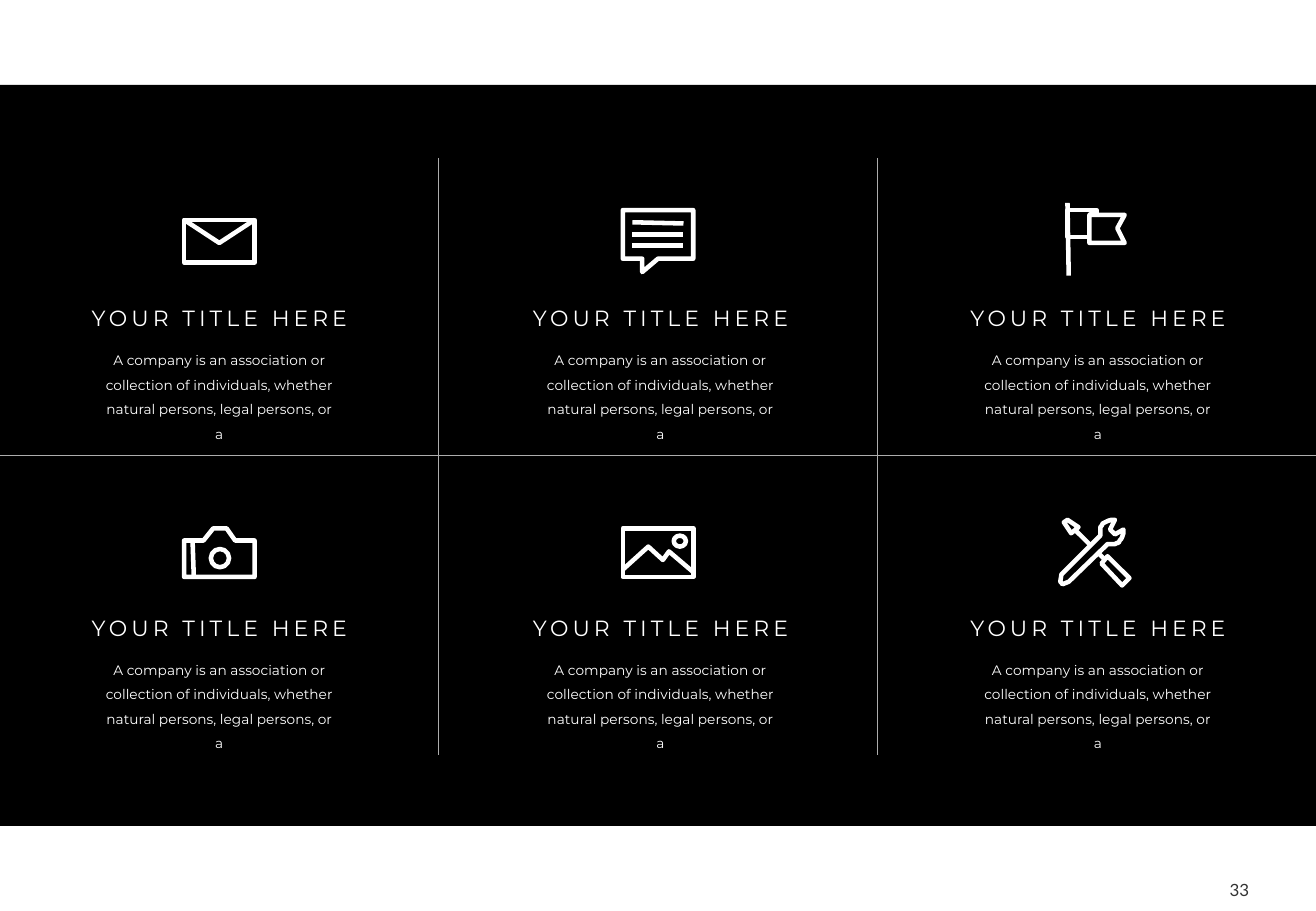
from lxml.etree import SubElement
from pptx import Presentation
from pptx.dml.color import RGBColor
from pptx.enum.shapes import MSO_CONNECTOR as Link, MSO_SHAPE as Kind
from pptx.enum.text import MSO_AUTO_SIZE as Auto, PP_ALIGN as Align
from pptx.oxml.ns import qn
from pptx.util import Inches, Pt

WHITE = RGBColor(0xFF, 0xFF, 0xFF)
BLACK = RGBColor(0, 0, 0)
GRAY = RGBColor(0xAD, 0xAD, 0xAD)
DARK = RGBColor(0x33, 0x33, 0x33)


def bend(a, b, c, d, steps=8):
    """Points along a cubic curve from a to d."""
    return [tuple((1 - t) ** 3 * p + 3 * t * (1 - t) ** 2 * q
                  + 3 * t * t * (1 - t) * r + t ** 3 * s
                  for p, q, r, s in zip(a, b, c, d))
            for t in (i / steps for i in range(steps + 1))]


TITLE = "YOUR TITLE HERE"
BODY = ("A company is an association or collection of individuals, "
        "whether natural persons, legal persons, or a")
PAGE = "33"

# Icon strokes in hundredths of an inch: "open" and "shut" outlines, "ring" boxes
MAIL = [("shut", [(58, 43), (0, 43), (0, 8), (58, 8)]),
        ("open", [(0, 8), (29, 27), (58, 8)])]
CHAT = [("open", [(8, 10), (50, 11)]),
        ("open", [(8, 20), (50, 20)]),
        ("open", [(8, 29), (50, 29)]),
        ("shut", [(29, 40), (58, 40), (58, 0), (0, 0), (0, 40),
                  (16, 40), (16, 51)])]
FLAG = [("open", [(5, -6), (6, 54)]),
        ("open", [(29, 0), (23, 4), (23, 27), (52, 27), (46, 15),
                  (52, 4), (23, 4)]),
        ("open", [(23, 22), (5, 22), (5, 0), (29, 0), (29, 4)])]
CAMERA = [("shut", [(42, 17), (35, 7), (24, 7), (16, 17), (0, 17),
                    (0, 47), (58, 47), (58, 17)]),
          ("ring", [(22, 24), (37, 39)]),
          ("open", [(7, 17), (8, 47)])]
PHOTO = [("shut", [(58, 7), (0, 7), (0, 47), (58, 47)]),
         ("open", [(0, 41), (21, 22), (33, 33), (38, 26), (58, 43)]),
         ("ring", [(42, 13), (52, 22)])]
TOOLS = [("open", [(31, 28), (36, 33)]),
         ("shut", [(33, 36), (38, 30), (56, 48), (50, 54)]),
         ("shut", [(8, 11), (14, 6), (5, 0), (2, 2)]),
         ("open", [(24, 21), (11, 8)]),
         ("shut", [(51, 8), (44, 12), (40, 8),
                   *bend((44, 0), (34, 0), (32, 5), (32, 10)),
                   (32, 13), (0, 45), (-1, 51), (1, 53), (6, 51), (38, 20),
                   *bend((42, 20), (47, 20), (51, 17), (51, 8))])]
GRID = [[MAIL, CHAT, FLAG], [CAMERA, PHOTO, TOOLS]]

WIDE, HIGH = 10.83, 7.5
COL, ROW = WIDE / 3, HIGH * 0.34
BAND_TOP, BAND_END = 0.7, 6.8
RULE_TOP, RULE_END = 1.3, 6.22
ICON_TOP, TITLE_TOP, BODY_TOP = 1.73, 2.46, 2.78
ICON_WIDE = 0.58
NUDGE = (0, 0.02, 0.01)  # shift of the text in each column

deck = Presentation()
deck.slide_width, deck.slide_height = Inches(WIDE), Inches(HIGH)
slide = deck.slides.add_slide(deck.slide_layouts[6])
shapes = slide.shapes


def ink(item, color, width):
    item.line.color.rgb = color
    item.line.width = Pt(width)
    SubElement(item.line._get_or_add_ln(), qn("a:round"))


def rule(start, end, color=GRAY, width=0.75):
    line = shapes.add_connector(Link.STRAIGHT,
                                *(Inches(v) for v in (*start, *end)))
    ink(line, color, width)
    SubElement(line._element.spPr, qn("a:effectLst"))


def stroke(kind, points, left, top):
    spots = [(left + x / 100, top + y / 100) for x, y in points]
    if kind == "open" and len(points) == 2:
        rule(*spots, WHITE, 2.7)
        return
    if kind == "ring":
        (x, y), (right, low) = spots
        item = shapes.add_shape(Kind.OVAL, Inches(x), Inches(y),
                                Inches(right - x), Inches(low - y))
    else:
        path = shapes.build_freeform(*points[0], scale=Inches(0.01))
        path.add_line_segments(points[1:], close=kind == "shut")
        item = path.convert_to_shape(Inches(left), Inches(top))
    item.shadow.inherit = False
    item.fill.background()
    ink(item, WHITE, 2.7)


def write(text, box, size, face="Montserrat", color=WHITE, align=Align.CENTER,
          wrap=False, space=None, track=None, inset=None):
    frame = shapes.add_textbox(*(Inches(v) for v in box)).text_frame
    frame.word_wrap = wrap
    frame.auto_size = Auto.SHAPE_TO_FIT_TEXT
    if inset is not None:
        frame.margin_left = frame.margin_right = inset
        frame.margin_top = frame.margin_bottom = inset
    para = frame.paragraphs[0]
    para.alignment = align
    para.line_spacing = space
    run = para.add_run()
    run.text = text
    run.font.size = Pt(size)
    run.font.name = face
    run.font.color.rgb = color
    if track:
        run.font._element.set("spc", str(track))


write(PAGE, (10.01, 7.24, 0.27, 0.17), 10, "Lato", DARK, Align.RIGHT, inset=0)

band = shapes.add_shape(Kind.RECTANGLE, 0, Inches(BAND_TOP),
                        Inches(WIDE), Inches(BAND_END - BAND_TOP))
band.shadow.inherit = False
band.fill.solid()
band.fill.fore_color.rgb = BLACK
band.line.fill.background()

for n in (1, 2):
    rule((n * COL, RULE_TOP), (n * COL, RULE_END))
rule((0, HIGH / 2), (WIDE, HIGH / 2))

for r, icons in enumerate(GRID):
    for c, icon in enumerate(icons):
        mid, drop = (c + 0.5) * COL, r * ROW
        for kind, points in icon:
            stroke(kind, points, mid - ICON_WIDE / 2, ICON_TOP + drop)
        mid += NUDGE[c]
        write(BODY, (mid - 2.13 / 2, BODY_TOP + drop, 2.13, 0.9), 8.1,
              wrap=True, space=1.5)
        write(TITLE, (mid - 2.37 / 2, TITLE_TOP + drop, 2.37, 0.32), 13,
              track=240)

deck.save("out.pptx")
